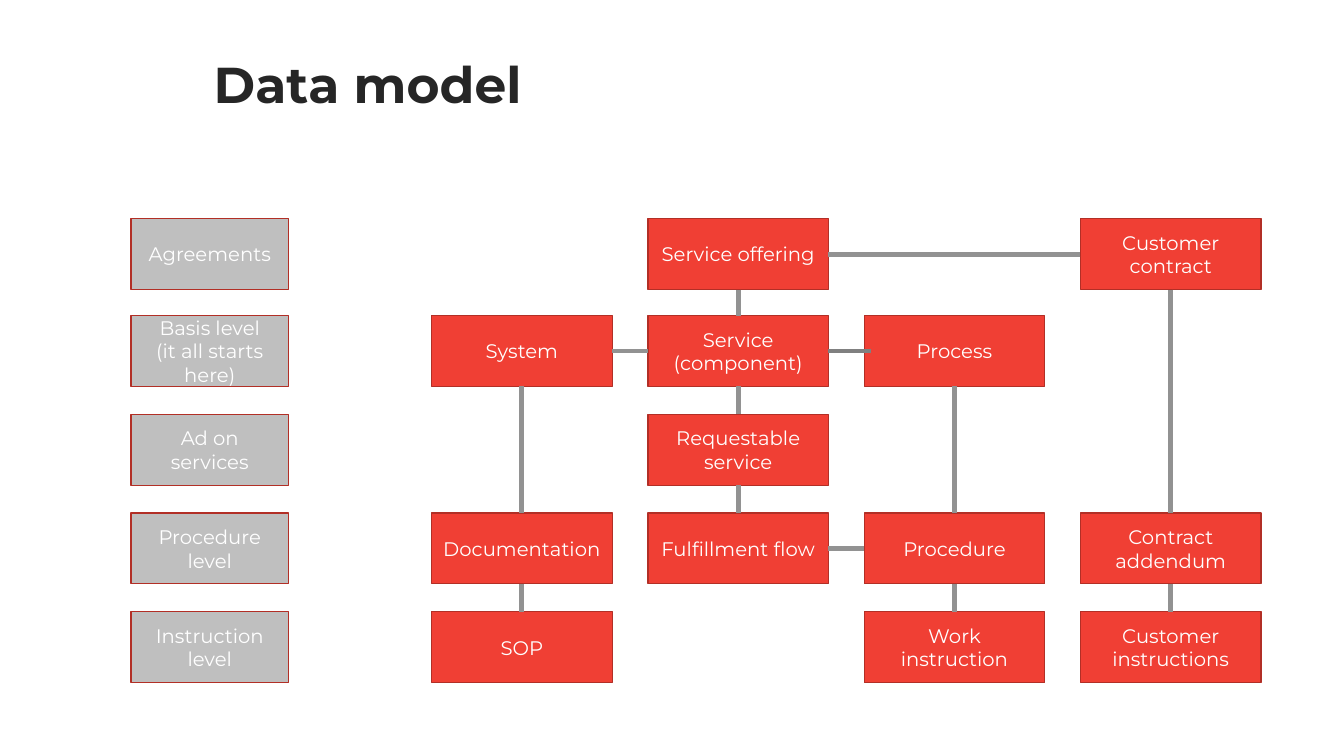
from dataclasses import dataclass

from pptx import Presentation
from pptx import util as u
from pptx.dml.color import RGBColor
from pptx.enum import shapes, text
from pptx.oxml import xmlchemy
from pptx.oxml.ns import qn
from lxml import etree

COLORS = {
    "title": "262626",
    "level": "BFBFBF",
    "entity": "F03F34",
    "border": "B22F26",
    "label": "FFFFFF",
    "link": "929292",
    "process_link": "808080",
}
FONT = "Montserrat"
LEVEL_LEFT, LEVEL_WIDTH = 93.6, 112.5
ENTITY_LEFT, ENTITY_WIDTH, COLUMN_PITCH = 308.3, 129, 154.5
BOX_HEIGHT = 50.6
ROW_TOPS = [156.2] + [225.4 + 70.55 * row for row in range(4)]
TOP, LEFT, BOTTOM, RIGHT = range(4)


@dataclass
class Entity:
    label: str
    column: int
    row: int


@dataclass
class Link:
    start: str
    start_side: int
    end: str
    end_side: int


LEVELS = [
    "Agreements",
    "Basis level\n(it all starts here)",
    "Ad on services",
    "Procedure\nlevel",
    "Instruction\nlevel",
]
ENTITIES = [
    Entity("Service offering", 1, 0),
    Entity("Customer contract", 3, 0),
    Entity("System", 0, 1),
    Entity("Service (component)", 1, 1),
    Entity("Process", 2, 1),
    Entity("Requestable service", 1, 2),
    Entity("Documentation", 0, 3),
    Entity("Fulfillment flow", 1, 3),
    Entity("Procedure", 2, 3),
    Entity("Contract addendum", 3, 3),
    Entity("SOP", 0, 4),
    Entity("Work instruction", 2, 4),
    Entity("Customer instructions", 3, 4),
]
CHAINS = [
    ["Customer contract", "Contract addendum", "Customer instructions"],
    ["Process", "Procedure", "Work instruction"],
    ["Service offering", "Service (component)", "Requestable service", "Fulfillment flow"],
    ["System", "Documentation", "SOP"],
]
LINKS = [
    Link(upper, BOTTOM, lower, TOP)
    for chain in CHAINS
    for upper, lower in zip(chain, chain[1:])
] + [
    Link("Customer contract", LEFT, "Service offering", RIGHT),
    Link("Fulfillment flow", RIGHT, "Procedure", LEFT),
    Link("Service (component)", LEFT, "System", RIGHT),
]


def color(name: str) -> RGBColor:
    return RGBColor.from_string(COLORS[name])


def apply(target, values: dict) -> None:
    for name, value in values.items():
        setattr(target, name, value)


def style_font(font, size: float, color_name: str, bold: bool) -> None:
    apply(font, {"name": FONT, "size": u.Pt(size), "bold": bold})
    font.color.rgb = color(color_name)


def add_title(page, wording: str) -> None:
    title = page.shapes.title
    apply(title, {"left": u.Pt(152.6), "top": u.Pt(38.2),
                  "width": u.Pt(807.1), "height": u.Pt(118)})
    frame = title.text_frame
    frame.text = wording
    apply(frame, {"margin_left": 0, "margin_top": 0, "margin_right": 0, "margin_bottom": 0,
                  "word_wrap": True, "auto_size": text.MSO_AUTO_SIZE.NONE,
                  "vertical_anchor": text.MSO_ANCHOR.TOP})
    para = frame.paragraphs[0]
    para.alignment = text.PP_ALIGN.LEFT
    style_font(para.runs[0].font, 36, "title", True)


def add_box(page, label: str, left: float, row: int, width: float, fill: str):
    box = page.shapes.add_shape(
        shapes.MSO_SHAPE.RECTANGLE,
        u.Pt(left), u.Pt(ROW_TOPS[row]), u.Pt(width), u.Pt(BOX_HEIGHT))
    box.shadow.inherit = False
    box.fill.solid()
    box.fill.fore_color.rgb = color(fill)
    box.line.color.rgb = color("border")
    box.line.width = u.Pt(0.85)
    frame = box.text_frame
    frame.text = label
    apply(frame, {"word_wrap": True, "vertical_anchor": text.MSO_ANCHOR.MIDDLE})
    for para in frame.paragraphs:
        para.alignment = text.PP_ALIGN.CENTER
        for span in para.runs:
            style_font(span.font, 14, "label", False)
    return box


def add_line(page, color_name: str, width: float, end_left: float = 0, end_top: float = 0):
    line = page.shapes.add_connector(
        shapes.MSO_CONNECTOR.STRAIGHT, 0, 0, u.Pt(end_left), u.Pt(end_top))
    line.line.color.rgb = color(color_name)
    line.line.width = u.Pt(width)
    etree.SubElement(line._element.spPr, qn("a:effectLst"))
    return line


def main() -> None:
    deck = Presentation()
    apply(deck, {"slide_width": u.Pt(960), "slide_height": u.Pt(540)})
    page = deck.slides.add_slide(deck.slide_layouts[5])
    add_title(page, "Data model")
    for row, label in enumerate(LEVELS):
        add_box(page, label, LEVEL_LEFT, row, LEVEL_WIDTH, "level")
    boxes = {
        entity.label: add_box(page, entity.label, ENTITY_LEFT + COLUMN_PITCH * entity.column,
                              entity.row, ENTITY_WIDTH, "entity")
        for entity in ENTITIES
    }
    for link in LINKS:
        line = add_line(page, "link", 3.5)
        line.begin_connect(boxes[link.start], link.start_side)
        line.end_connect(boxes[link.end], link.end_side)
    process_line = add_line(page, "process_link", 3, 622.1, ROW_TOPS[1] + BOX_HEIGHT / 2)
    process_line.begin_connect(boxes["Service (component)"], RIGHT)
    deck.save("out.pptx")


if __name__ == "__main__":
    main()
